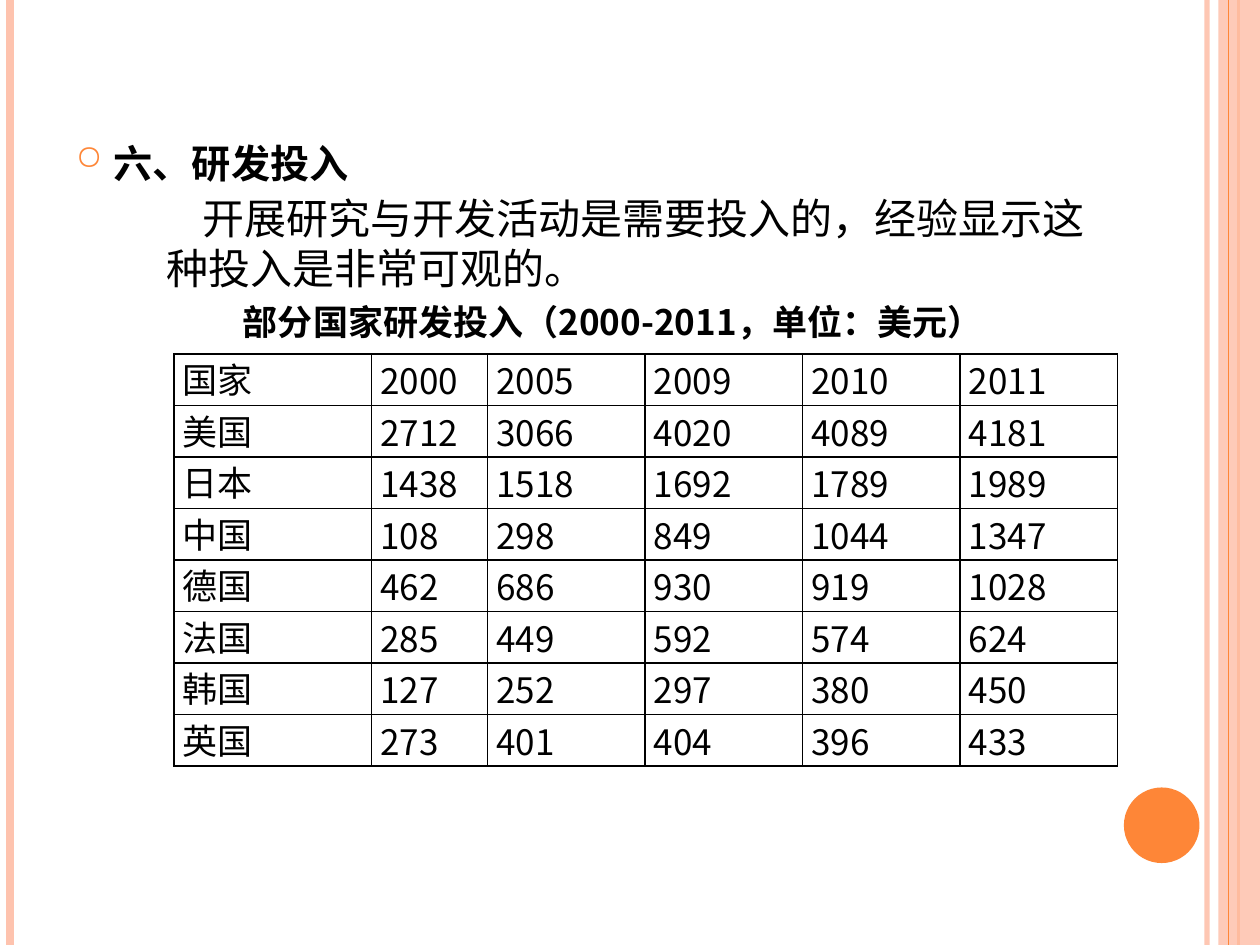
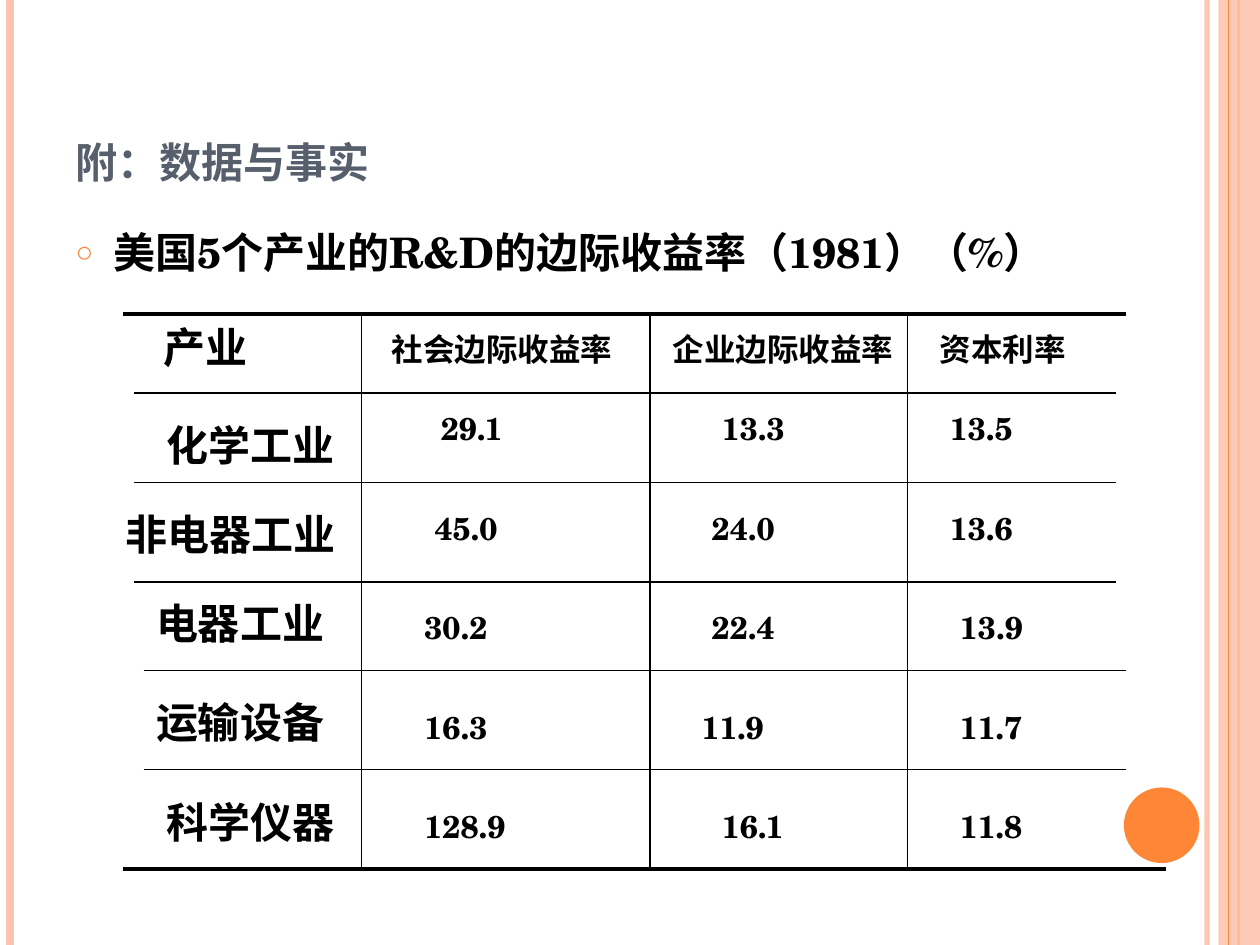
from dataclasses import dataclass

from lxml import etree
from pptx import Presentation
from pptx.dml.color import RGBColor
from pptx.enum.shapes import MSO_CONNECTOR, MSO_SHAPE
from pptx.enum.text import MSO_ANCHOR, MSO_AUTO_SIZE, PP_ALIGN
from pptx.oxml.ns import qn
from pptx.util import Inches, Pt

STRAIGHT = MSO_CONNECTOR.STRAIGHT
RECTANGLE = MSO_SHAPE.RECTANGLE
OVAL = MSO_SHAPE.OVAL
TOP, MIDDLE, BOTTOM = MSO_ANCHOR.TOP, MSO_ANCHOR.MIDDLE, MSO_ANCHOR.BOTTOM
NO_FIT, GROW = MSO_AUTO_SIZE.NONE, MSO_AUTO_SIZE.SHAPE_TO_FIT_TEXT
LEFT, JUSTIFY = PP_ALIGN.LEFT, PP_ALIGN.JUSTIFY
TITLE_AND_BODY, TITLE_ONLY = 1, 5


@dataclass(frozen=True)
class Theme:
    text: str = "000000"
    heading: str = "575F6D"
    accent: str = "FE8637"
    band: str = "FEC3AE"
    serif: str = "TeX Gyre Schola"
    sans: str = "Noto Sans CJK SC"
    section: str = "Noto Sans CJK JP"
    country: str = "Times New Roman"
    title_size: int = 30
    section_size: int = 28
    body_size: int = 24
    table_size: int = 20
    figure_size: int = 18


THEME = Theme()
TITLE_BOX = (0.5, 0.3, 8.17, 1.25)

SPENDING = [
    ("国家", 2000, 2005, 2009, 2010, 2011),
    ("美国", 2712, 3066, 4020, 4089, 4181),
    ("日本", 1438, 1518, 1692, 1789, 1989),
    ("中国", 108, 298, 849, 1044, 1347),
    ("德国", 462, 686, 930, 919, 1028),
    ("法国", 285, 449, 592, 574, 624),
    ("韩国", 127, 252, 297, 380, 450),
    ("英国", 273, 401, 404, 396, 433),
]
SPENDING_WIDTHS = [1.57, 0.92] + [1.25] * 4

RETURN_HEADINGS = [("社会边际收益率", 3.01), ("企业边际收益率", 5.24), ("资本利率", 7.36)]
RETURNS = [
    ("化学工业", 1.22, 3.28, [("29.1", 3.4), ("13.3", 5.63), ("13.5", 7.44)]),
    ("非电器工业", 0.9, 3.99, [("45.0", 3.35), ("24.0", 5.55), ("13.6", 7.44)]),
    ("电器工业", 1.14, 4.69, [("30.2", 3.27), ("22.4", 5.55), ("13.9", 7.52)]),
    ("运输设备", 1.14, 5.48, [("16.3", 3.27), ("11.9", 5.47), ("11.7", 7.52)]),
    ("科学仪器", 1.22, 6.27, [("128.9", 3.27), ("16.1", 5.63), ("11.8", 7.52)]),
]
TABLE_TOP, TABLE_BOTTOM = 2.49, 6.9
ROW_RULES = [
    (0.98, 8.94, TABLE_TOP, 2.25),
    (1.06, 8.86, 3.12, 0.75),
    (1.06, 8.86, 3.83, 0.75),
    (1.06, 8.86, 4.62, 0.75),
    (1.14, 8.94, 5.32, 0.75),
    (1.14, 8.94, 6.11, 0.75),
    (0.98, 9.25, TABLE_BOTTOM, 2.25),
]
COLUMN_RULES = [2.87, 5.16, 7.2]


def color(value):
    return RGBColor.from_string(value)


def set_alpha(properties, percent):
    for element in properties.iter(qn("a:srgbClr")):
        etree.SubElement(element, qn("a:alpha"), val=str(percent * 1000))


class SlideBuilder:
    def __init__(self, presentation, theme):
        self.presentation = presentation
        self.theme = theme
        self.slide = None

    def start(self, layout):
        layouts = self.presentation.slide_layouts
        self.slide = self.presentation.slides.add_slide(layouts[layout])
        theme = self.theme
        self.rule((9.58, 0), (9.58, 7.5), 3, theme.band, 93)
        self.rule((0.08, 0), (0.08, 7.5), 4.5, theme.band)
        self.rule((9.83, 0), (9.83, 7.5), 1.5, theme.accent)
        self.shape(RECTANGLE, (9.67, 0, 0.33, 7.5), theme.band, 87)
        self.rule((9.75, 0), (9.75, 7.5), 0.75, theme.accent)
        self.shape(OVAL, (8.92, 6.25, 0.6, 0.6), theme.accent)

    def rule(self, start, end, width, line_color, alpha=100):
        points = [Inches(value) for value in (*start, *end)]
        connector = self.slide.shapes.add_connector(STRAIGHT, *points)
        connector.line.width = Pt(width)
        connector.line.color.rgb = color(line_color)
        properties = connector._element.spPr
        if alpha < 100:
            set_alpha(properties, alpha)
        etree.SubElement(properties, qn("a:effectLst"))

    def shape(self, kind, box, fill_color, alpha=100):
        shape = self.slide.shapes.add_shape(kind, *map(Inches, box))
        shape.shadow.inherit = False
        shape.fill.solid()
        shape.fill.fore_color.rgb = color(fill_color)
        shape.line.fill.background()
        if alpha < 100:
            set_alpha(shape._element.spPr, alpha)

    def format(self, paragraph, size, font, bold=False, text_color=None,
               east_asian=None, align=LEFT, small_caps=False):
        paragraph.alignment = align
        paragraph.font.size = Pt(size)
        paragraph.font.bold = bold
        paragraph.font.name = font
        paragraph.font.color.rgb = color(text_color or self.theme.text)
        properties = paragraph._p.get_or_add_pPr().get_or_add_defRPr()
        etree.SubElement(properties, qn("a:ea"), typeface=east_asian or self.theme.serif)
        if small_caps:
            properties.set("cap", "small")

    def bullet(self, paragraph):
        paragraph.space_before = Pt(6)
        properties = paragraph._p.get_or_add_pPr()
        properties.set("marL", str(Inches(0.3)))
        properties.set("indent", str(-Inches(0.3)))
        bullet_color = etree.Element(qn("a:buClr"))
        etree.SubElement(bullet_color, qn("a:srgbClr"), val=self.theme.accent)
        bullet_size = etree.Element(qn("a:buSzPct"), val="70000")
        bullet_mark = etree.Element(qn("a:buChar"), char="○")
        defaults = properties.find(qn("a:defRPr"))
        for element in (bullet_color, bullet_size, bullet_mark):
            defaults.addprevious(element)

    def placeholder(self, index, box, text, anchor, size, font, **style):
        shape = self.slide.placeholders[index]
        shape.left, shape.top, shape.width, shape.height = map(Inches, box)
        frame = shape.text_frame
        frame.auto_size = NO_FIT
        frame.vertical_anchor = anchor
        frame.text = text
        paragraph = frame.paragraphs[0]
        self.format(paragraph, size, font, **style)
        return paragraph

    def text(self, box, text, size, font, bold=True, anchor=TOP, indent=0):
        shape = self.slide.shapes.add_textbox(*map(Inches, box))
        frame = shape.text_frame
        frame.word_wrap = True
        frame.auto_size = GROW
        frame.vertical_anchor = anchor
        frame.text = text
        paragraph = frame.paragraphs[0]
        self.format(paragraph, size, font, bold)
        if indent:
            paragraph._p.get_or_add_pPr().set("indent", str(Inches(indent)))

    def table(self, left, top, widths, row_height, rows):
        box = (left, top, sum(widths), row_height * len(rows))
        frame = self.slide.shapes.add_table(len(rows), len(widths), *map(Inches, box))
        table = frame.table
        table.first_row = False
        table.horz_banding = False
        for column, width in zip(table.columns, widths):
            column.width = Inches(width)
        for row, values in zip(table.rows, rows):
            row.height = Inches(row_height)
            for index, (cell, value) in enumerate(zip(row.cells, values)):
                self.cell(cell, str(value), self.theme.sans if index else self.theme.country)

    def cell(self, cell, text, font):
        cell.text = text
        cell.margin_left = cell.margin_right = Inches(0.07)
        cell.margin_top = cell.margin_bottom = 0
        self.format(cell.text_frame.paragraphs[0], self.theme.table_size, font, align=JUSTIFY)
        properties = cell._tc.get_or_add_tcPr()
        for side in ("lnL", "lnR", "lnT", "lnB"):
            border = etree.SubElement(properties, qn(f"a:{side}"), w=str(Pt(1)))
            fill = etree.SubElement(border, qn("a:solidFill"))
            etree.SubElement(fill, qn("a:srgbClr"), val=self.theme.text)
        cell.fill.background()


def build_spending(builder):
    theme = builder.theme
    builder.start(TITLE_ONLY)
    title = builder.placeholder(
        0, TITLE_BOX, "六、研发投入", BOTTOM, theme.section_size, theme.section,
        bold=True, east_asian=theme.section, small_caps=True)
    title.line_spacing = 0.9
    builder.bullet(title)
    builder.table(1.38, 2.81, SPENDING_WIDTHS, 0.29, SPENDING)
    builder.text((1.54, 2.33, 6.54, 0.44), "部分国家研发投入（2000-2011，单位：美元）",
                 theme.table_size, theme.sans, anchor=MIDDLE, indent=0.29)
    builder.text((1.22, 1.47, 7.64, 0.91),
                 "开展研究与开发活动是需要投入的，经验显示这种投入是非常可观的。",
                 theme.body_size, theme.sans, bold=False, anchor=MIDDLE, indent=0.29)


def build_returns(builder):
    theme = builder.theme
    builder.start(TITLE_AND_BODY)
    builder.placeholder(0, TITLE_BOX, "附：数据与事实", BOTTOM, theme.title_size, theme.serif,
                        bold=True, text_color=theme.heading, small_caps=True)
    body = builder.placeholder(
        1, (0.5, 1.75, 9, 5.47), "美国5个产业的R&D的边际收益率（1981）（%）",
        TOP, theme.body_size, theme.serif, bold=True)
    builder.bullet(body)

    for left, right, y, width in ROW_RULES:
        builder.rule((left, y), (right, y), width, theme.text)
    for x in COLUMN_RULES:
        builder.rule((x, TABLE_TOP), (x, TABLE_BOTTOM), 0.75, theme.text)

    builder.text((1.2, 2.5, 1.2, 0.5), "产业", theme.body_size, theme.serif)
    for heading, left in RETURN_HEADINGS:
        width = 0.25 * len(heading) + 0.22
        builder.text((left, 2.57, width, 0.4), heading, theme.figure_size, theme.serif)
    for row, (industry, label_left, label_top, figures) in enumerate(RETURNS):
        builder.text((label_left, label_top, 0.4 * len(industry) - 0.03, 0.5),
                     industry, theme.body_size, theme.serif)
        figure_width = 0.82 if row < 2 else 0.98
        for figure, left in figures:
            builder.text((left, 3.2 + 0.79 * row, figure_width, 0.4),
                         figure, theme.figure_size, theme.serif)


def main():
    presentation = Presentation()
    presentation.slide_width = Inches(10)
    presentation.slide_height = Inches(7.5)
    builder = SlideBuilder(presentation, THEME)
    build_spending(builder)
    build_returns(builder)
    presentation.save("out.pptx")


if __name__ == "__main__":
    main()
